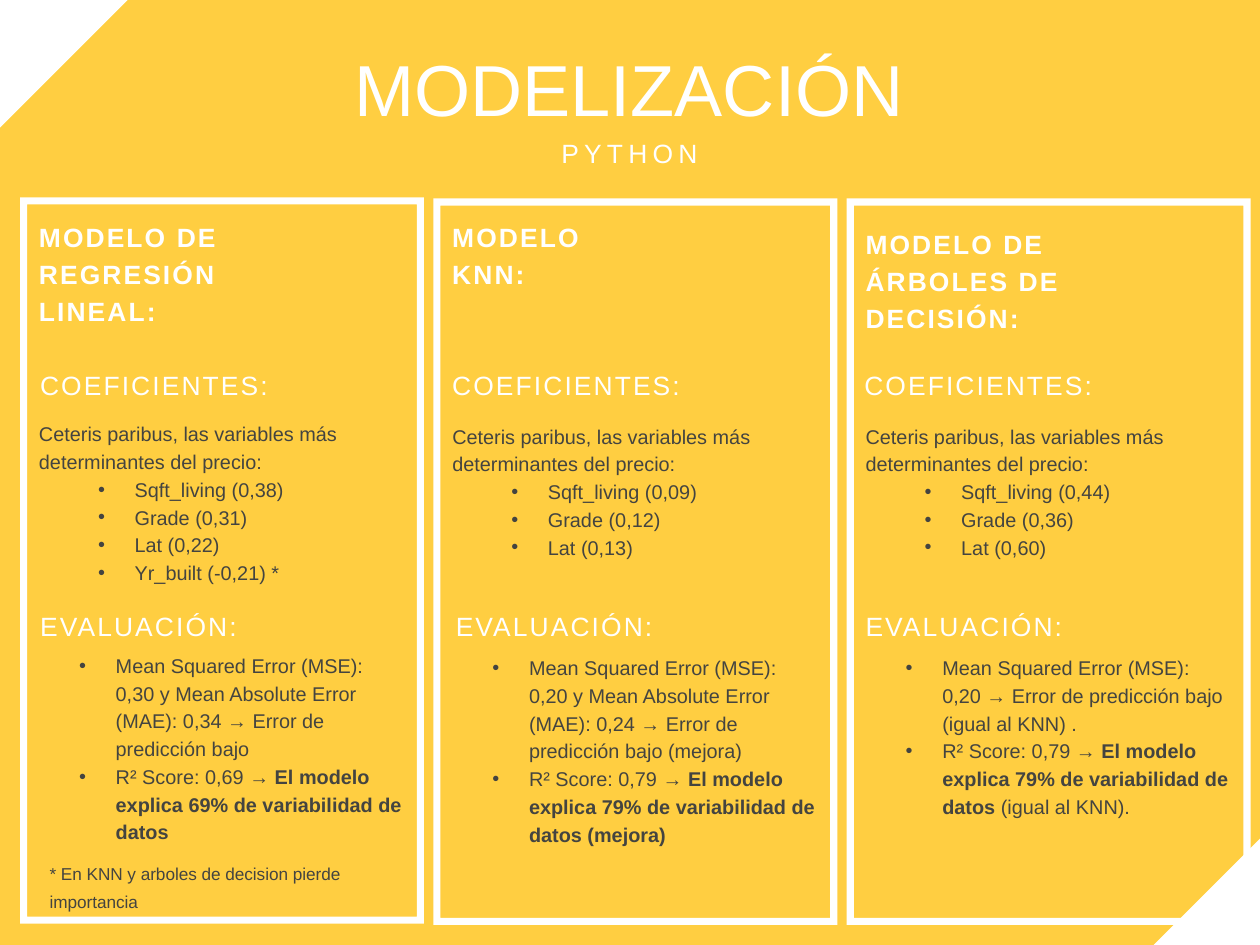
from lxml.etree import SubElement
from pptx import Presentation
from pptx.dml.color import RGBColor
from pptx.enum.text import PP_ALIGN as AL
from pptx.oxml.ns import qn
from pptx.util import Pt

PX = 9144
W, H = 1067, 800
YELLOW, WHITE, GRAY = "FFCE41", "FFFFFF", "444440"
PITCH, FRAME_W, FRAME_H, EDGE = 350, 342, 615, 6

INTRO = "Ceteris paribus, las variables más determinantes del precio:"
CORNERS = [[(0, 0), (108, 0), (0, 108)], [(W, 710), (W, H), (977, H)]]
NOTE = "* En KNN y arboles de decision pierde importancia"
MODELS = [
    dict(title=["MODELO DE REGRESIÓN LINEAL:"], title_y=183, title_w=192,
         frame_y=167, coef_x=34, eval_x=34, body_y=354, score_y=550,
         coefs=["Sqft_living (0,38)", "Grade (0,31)", "Lat (0,22)", "Yr_built (-0,21) *"],
         error="Mean Squared Error (MSE): 0,30 y Mean Absolute Error (MAE): 0,34 "
               "→ Error de predicción bajo",
         score=[("R² Score: 0,69 ", False),
                ("→ El modelo explica 69% de variabilidad de datos", True)]),
    dict(title=["MODELO", "KNN:"], title_y=183, title_w=186,
         frame_y=168, coef_x=33, eval_x=36, body_y=356, score_y=552,
         coefs=["Sqft_living (0,09)", "Grade (0,12)", "Lat (0,13)"],
         error="Mean Squared Error (MSE): 0,20 y Mean Absolute Error (MAE): 0,24 "
               "→ Error de predicción bajo (mejora)",
         score=[("R² Score: 0,79 ", False),
                ("→ El modelo explica 79% de variabilidad de datos (mejora)", True)]),
    dict(title=["MODELO DE ÁRBOLES DE DECISIÓN:"], title_y=189, title_w=200,
         frame_y=168, coef_x=32, eval_x=33, body_y=356, score_y=552,
         coefs=["Sqft_living (0,44)", "Grade (0,36)", "Lat (0,60)"],
         error="Mean Squared Error (MSE): 0,20 → Error de predicción bajo (igual al KNN) .",
         score=[("R² Score: 0,79 ", False),
                ("→ El modelo explica 79% de variabilidad de datos ", True),
                ("(igual al KNN).", False)]),
]
HEAD = dict(size=16.1, color=WHITE, line=22.5, spacing=1.3)
BODY = dict(size=12.1, color=GRAY, line=16.9)


def rgb(value):
    return RGBColor.from_string(value)


def add_bullet(p):
    pPr = p._p.get_or_add_pPr()
    pPr.set("marL", str(81 * PX))
    pPr.set("indent", str(-31 * PX))
    SubElement(pPr, qn("a:buFont"), typeface="Arial")
    SubElement(pPr, qn("a:buChar"), char="•")


def add_text(s, paras, x, y, w, h, *, size, color, line, spacing=0,
             bold=False, align=AL.LEFT, bullets_from=None):
    """Add a text box; a paragraph is a string or a list of (text, bold) runs."""
    tf = s.shapes.add_textbox(x * PX, y * PX, w * PX, h * PX).text_frame
    tf.word_wrap = True
    tf.margin_left = tf.margin_right = tf.margin_top = tf.margin_bottom = 0
    for i, para in enumerate(paras):
        p = tf.add_paragraph() if i else tf.paragraphs[0]
        p.alignment, p.line_spacing = align, Pt(line)
        if bullets_from is not None and i >= bullets_from:
            add_bullet(p)
        for text, strong in [(para, bold)] if isinstance(para, str) else para:
            r = p.add_run()
            r.text = text
            r.font.name, r.font.size, r.font.bold = "Arial", Pt(size), strong
            r.font.color.rgb = rgb(color)
            if spacing:
                r._r.get_or_add_rPr().set("spc", str(round(spacing * 100)))


def add_outline(s, *contours):
    start = contours[0][0]
    fb = s.shapes.build_freeform(*start, scale=PX)
    for points in contours:
        if points[0] != start:
            fb.move_to(*points[0])
        fb.add_line_segments(points[1:], close=True)
    sp = fb.convert_to_shape()
    sp.shadow.inherit = False
    sp.fill.solid()
    sp.fill.fore_color.rgb = rgb(WHITE)
    sp.line.fill.background()


def add_frame(s, x, y):
    r, b = x + FRAME_W, y + FRAME_H
    left, top, right, bottom = x + EDGE, y + EDGE, r - EDGE, b - EDGE
    add_outline(s, [(x, y), (x, b), (r, b), (r, y)],
                [(left, top), (right, top), (right, bottom), (left, bottom)])


def add_model(s, x, m):
    add_frame(s, x + 17, m["frame_y"])
    add_text(s, m["title"], x + 33, m["title_y"], m["title_w"], 94, bold=True, **HEAD)
    add_text(s, ["COEFICIENTES:"], x + m["coef_x"], 308, 197, 29, **HEAD)
    add_text(s, [INTRO, *m["coefs"]], x + 33, m["body_y"], 325, 141, bullets_from=1, **BODY)
    add_text(s, ["EVALUACIÓN:"], x + m["eval_x"], 512, 197, 29, **HEAD)
    add_text(s, [m["error"], m["score"]], x + 17, m["score_y"], 325, 165,
             bullets_from=0, **BODY)


def main():
    prs = Presentation()
    prs.slide_width, prs.slide_height = W * PX, H * PX
    s = prs.slides.add_slide(prs.slide_layouts[6])
    s.background.fill.solid()
    s.background.fill.fore_color.rgb = rgb(YELLOW)
    add_text(s, ["MODELIZACIÓN"], 36, 17, 994, 86, size=44, color=WHITE, line=67.6,
             align=AL.CENTER)
    add_text(s, ["PYTHON"], 179, 112, 708, 30, size=16.1, color=WHITE, line=22.5,
             spacing=3.2, align=AL.CENTER)
    for i, m in enumerate(MODELS):
        add_model(s, i * PITCH, m)
    for points in CORNERS:
        add_outline(s, points)
    add_text(s, [NOTE], 42, 725, 292, 45, size=10.5, color=GRAY, line=16.9)
    prs.save("out.pptx")


if __name__ == "__main__":
    main()
